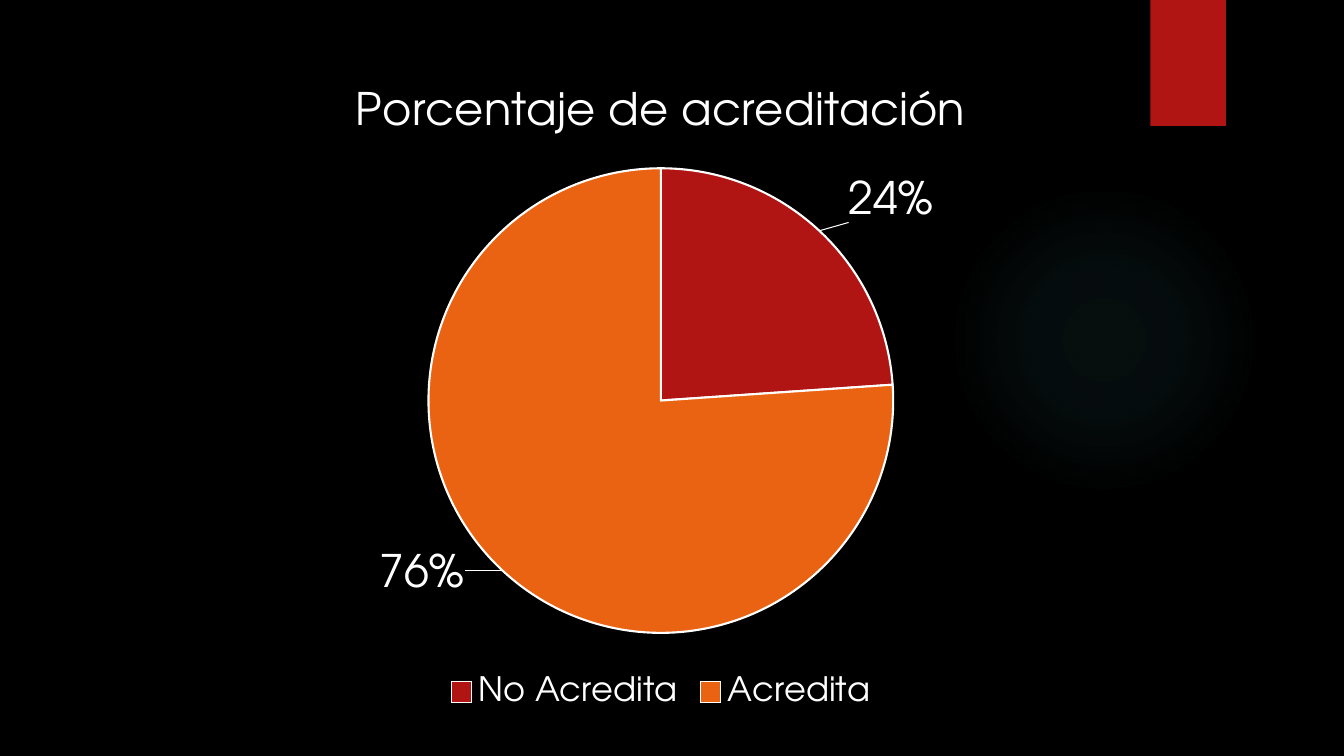
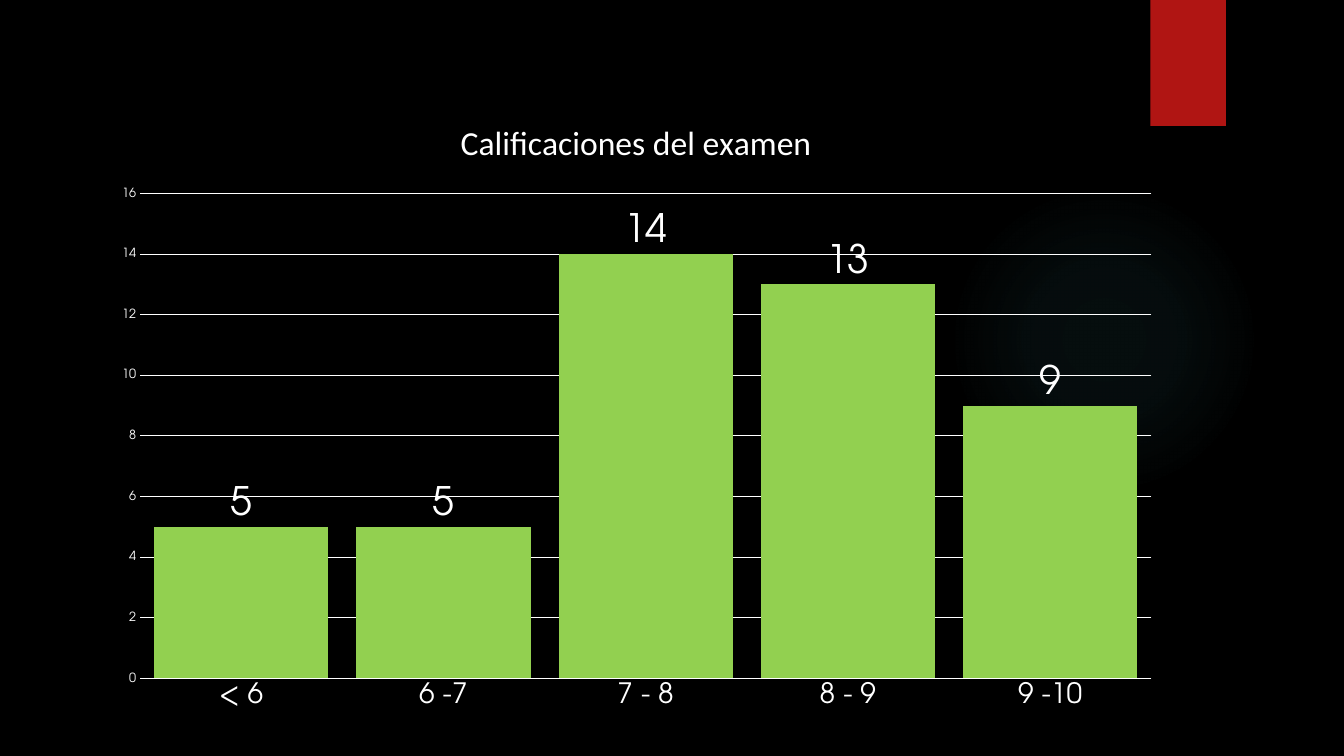
from lxml import etree
from pptx import Presentation
from pptx import util as u
from pptx.chart.data import CategoryChartData
from pptx.dml.color import RGBColor
from pptx.enum import chart as ch
from pptx.enum import shapes as sh
from pptx.oxml import parse_xml
from pptx.oxml.ns import nsdecls, qn

THEME = dict(
    back="000000", ink="FFFFFF", red="B01513", orange="EA6312", green="92D050", glow="50B9C1",
    face="TeX Gyre Adventor", plain_face="Calibri",
    headline=32, bar_headline=24, legend=24, category=20, scale=9, share=32, count=28,
    hairline=0.75, outline=1.5,
)
WIDTH, HEIGHT = 13.33, 7.5


def style(font, size, face=THEME["face"]):
    """Give a chart font its size, face and the light text colour."""
    font.size, font.name, font.bold = u.Pt(size), face, False
    font.color.rgb = RGBColor.from_string(THEME["ink"])


def place(part, index, frame, **lengths):
    """Lay out a chart part by inches within the chart frame, as child number index."""
    for old in part.findall(qn("c:layout")):
        part.remove(old)
    layout = etree.Element(qn("c:layout"))
    manual = etree.SubElement(layout, qn("c:manualLayout"))
    if "w" in lengths:
        etree.SubElement(manual, qn("c:layoutTarget"), val="inner")
    if part.tag != qn("c:dLbl"):
        for mode in ("xMode", "yMode"):
            etree.SubElement(manual, qn(f"c:{mode}"), val="edge")
    for side, length in lengths.items():
        whole = frame[2] if side in "xw" else frame[3]
        etree.SubElement(manual, qn(f"c:{side}"), val=str(length / whole))
    part.insert(index, layout)


prs = Presentation()
prs.slide_width, prs.slide_height = u.Inches(WIDTH), u.Inches(HEIGHT)
backdrop = prs.slide_master.background.fill
backdrop.solid()
backdrop.fore_color.rgb = RGBColor.from_string(THEME["back"])

glow_stops = "".join(
    f'<a:gs pos="{pos * 1000}"><a:srgbClr val="{THEME["glow"]}">'
    f'<a:alpha val="{alpha * 1000}"/></a:srgbClr></a:gs>'
    for pos, alpha in ((0, 7), (36, 6), (69, 0), (100, 0)))
glow_fill = (f'<a:gradFill {nsdecls("a")}><a:gsLst>{glow_stops}</a:gsLst><a:path path="circle">'
             '<a:fillToRect l="50000" t="50000" r="50000" b="50000"/></a:path></a:gradFill>')

pages = [
    dict(title="Porcentaje de acreditación", size=THEME["headline"], face=THEME["face"],
         kind=ch.XL_CHART_TYPE.PIE, frame=(1.46, 0.68, 10.19, 6.41),
         values={"No Acredita": 11, "Acredita": 35},
         title_at=dict(x=1.99, y=0.1), plot_at=dict(x=2.79, y=0.99, w=4.61, h=4.61)),
    dict(title="Calificaciones del examen", size=THEME["bar_headline"], face=THEME["plain_face"],
         kind=ch.XL_CHART_TYPE.COLUMN_CLUSTERED, frame=(1, 0.95, 10.63, 6.2),
         values={"< 6": 5, "6 -7": 5, "7 - 8": 14, "8 - 9": 13, "9 -10": 9},
         title_at=dict(x=3.51, y=0.18), plot_at=dict(x=0.39, y=0.97, w=10.03, h=4.81)),
]

charts = []
for page in pages:
    slide = prs.slides.add_slide(prs.slide_layouts[6])
    for form, box in ((sh.MSO_SHAPE.OVAL, (9.41, 1.83, 3.08, 3.08)),
                      (sh.MSO_SHAPE.RECTANGLE, (11.41, 0, 0.75, HEIGHT / 6))):
        ornament = slide.shapes.add_shape(form, *map(u.Inches, box))
        ornament.shadow.inherit = False
        ornament.line.fill.background()
        if form == sh.MSO_SHAPE.OVAL:
            outline = ornament.element.spPr.find(qn("a:prstGeom"))
            outline.addnext(parse_xml(glow_fill))
        else:
            ornament.fill.solid()
            ornament.fill.fore_color.rgb = RGBColor.from_string(THEME["red"])

    data = CategoryChartData()
    data.categories = list(page["values"])
    data.add_series("Series 1", list(page["values"].values()))
    chart = slide.shapes.add_chart(page["kind"], *map(u.Inches, page["frame"]), data).chart
    style(chart.font, 10)
    chart.has_title = True
    heading = chart.chart_title.text_frame
    heading.text = page["title"]
    style(heading.paragraphs[0].runs[0].font, page["size"], page["face"])
    place(heading._txBody.getparent().getparent(), 1, page["frame"], **page["title_at"])
    place(chart.element.find(".//" + qn("c:plotArea")), 0, page["frame"], **page["plot_at"])
    charts.append(chart)

accreditation, grades = charts

# Accreditation shares
accreditation.has_legend = True
accreditation.legend.position = ch.XL_LEGEND_POSITION.BOTTOM
accreditation.legend.include_in_layout = False
style(accreditation.legend.font, THEME["legend"])
accreditation.plots[0].vary_by_categories = True
results = accreditation.plots[0].series[0]
shares = results.data_labels
shares.show_value = True
style(shares.font, THEME["share"])
for number, (colour, shift) in enumerate(((THEME["red"], dict(x=0.25, y=-0.04)),
                                          (THEME["orange"], dict(x=-0.33, y=-0.21)))):
    slice_ = results.points[number]
    slice_.format.fill.solid()
    slice_.format.fill.fore_color.rgb = RGBColor.from_string(colour)
    slice_.format.line.color.rgb = RGBColor.from_string(THEME["ink"])
    slice_.format.line.width = u.Pt(THEME["outline"])
    share = slice_.data_label
    style(share.font, THEME["share"])
    share.position = ch.XL_LABEL_POSITION.OUTSIDE_END
    label = shares._element.findall(qn("c:dLbl"))[number]
    label.find(qn("c:showVal")).set("val", "0")
    label.find(qn("c:showPercent")).set("val", "1")
    place(label, 1, pages[0]["frame"], **shift)

for old in shares._element.findall(qn("c:showLeaderLines")):
    shares._element.remove(old)
etree.SubElement(shares._element, qn("c:showLeaderLines"), val="1")
shares._element.append(parse_xml(
    f'<c:leaderLines {nsdecls("c", "a")}><c:spPr><a:ln w="{u.Pt(THEME["hairline"])}"><a:solidFill>'
    f'<a:srgbClr val="{THEME["ink"]}"/></a:solidFill></a:ln></c:spPr></c:leaderLines>'))

# Exam grades
grades.has_legend = False
bars = grades.plots[0]
bars.vary_by_categories = False
bars.gap_width = 16
bars.series[0].format.fill.solid()
bars.series[0].format.fill.fore_color.rgb = RGBColor.from_string(THEME["green"])
counts = bars.series[0].data_labels
counts.show_value = True
counts.position = ch.XL_LABEL_POSITION.OUTSIDE_END
style(counts.font, THEME["count"])

ranges, scale = grades.category_axis, grades.value_axis
scale.minimum_scale, scale.maximum_scale, scale.major_unit = 0, 16, 2
scale.has_major_gridlines = True
scale.format.line.fill.background()
for axis, size in ((ranges, THEME["category"]), (scale, THEME["scale"])):
    axis.major_tick_mark = axis.minor_tick_mark = ch.XL_TICK_MARK.NONE
    style(axis.tick_labels.font, size)
for rule in (ranges.format.line, scale.major_gridlines.format.line):
    rule.color.rgb = RGBColor.from_string(THEME["ink"])
    rule.width = u.Pt(THEME["hairline"])

prs.save("out.pptx")
